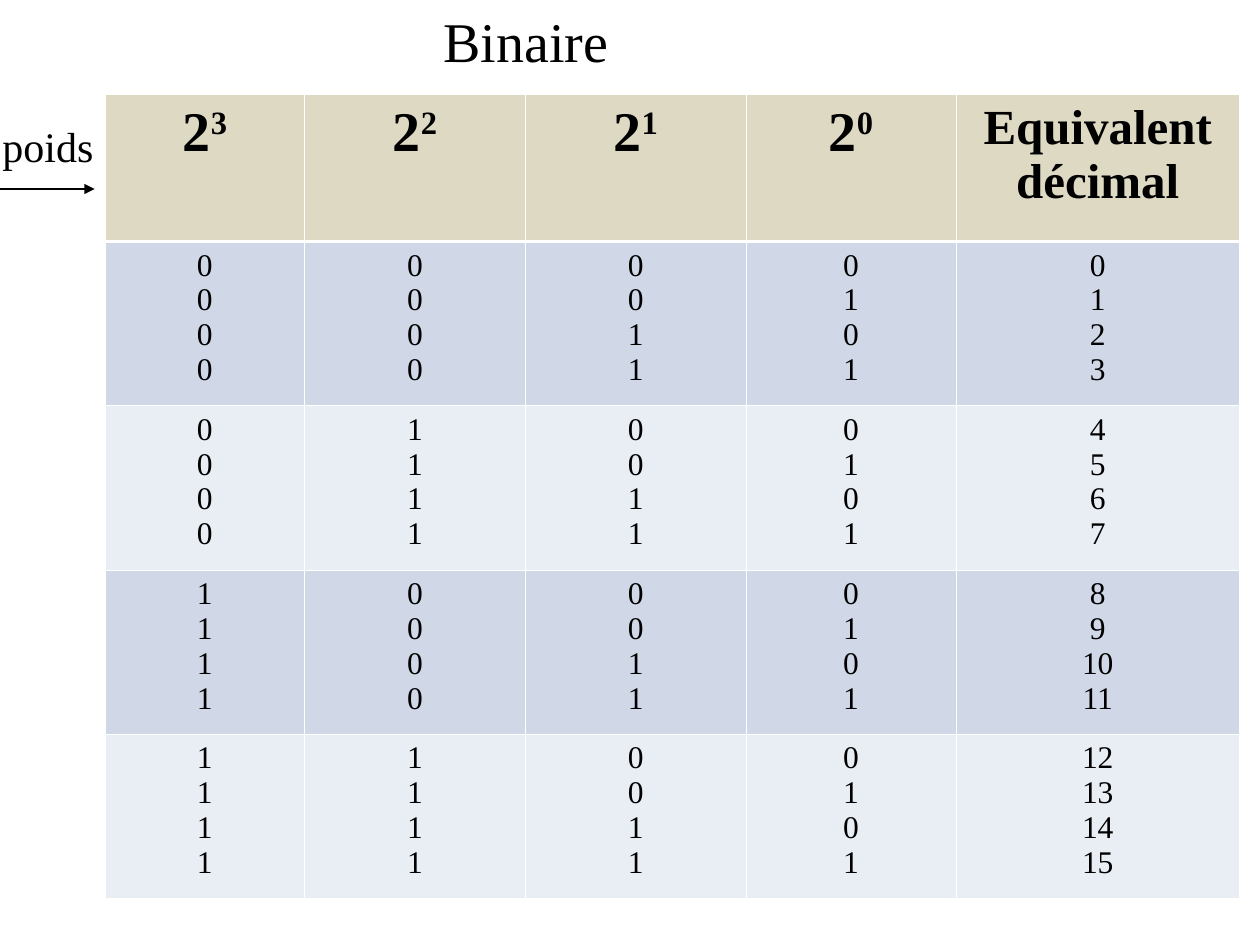
import dataclasses

import lxml.etree
import pptx
import pptx.dml.color
import pptx.enum.shapes
import pptx.enum.text
import pptx.oxml.ns
import pptx.util

Cm = pptx.util.Cm
Pt = pptx.util.Pt
qn = pptx.oxml.ns.qn

FONT = "Times New Roman"
COLORS = {
    "text": "000000",
    "border": "FFFFFF",
    "header": "DDD9C3",
    "odd": "D0D8E8",
    "even": "E9EDF4",
}
BITS = 4
GROUP = 4
COLUMN_WIDTHS = [4.02, 4.45, 4.45, 4.23, 5.72]
HEADER_HEIGHT = 2.96
ROW_HEIGHT = 3.31
THIN, THICK = 0.45, 1.47


@dataclasses.dataclass
class Line:
    text: str
    exponent: str = ""


@dataclasses.dataclass
class CellStyle:
    fill: str
    size: int
    bold: bool = False
    top: float = THIN
    bottom: float = THIN


@dataclasses.dataclass
class Label:
    text: str
    left: float
    top: float
    width: float
    height: float
    size: int


def rgb(name: str) -> pptx.dml.color.RGBColor:
    return pptx.dml.color.RGBColor.from_string(COLORS[name])


def format_paragraph(p, size: int, bold: bool, align) -> None:
    p.alignment = align
    p.font.name = FONT
    p.font.size = Pt(size)
    p.font.bold = bold
    p.font.color.rgb = rgb("text")


def set_borders(cell, style: CellStyle) -> None:
    tcPr = cell._tc.get_or_add_tcPr()
    widths = {"lnL": THIN, "lnR": THIN, "lnT": style.top, "lnB": style.bottom}
    for i, (tag, width) in enumerate(widths.items()):
        ln = lxml.etree.Element(qn(f"a:{tag}"), w=str(int(Pt(width))))
        fill = lxml.etree.SubElement(ln, qn("a:solidFill"))
        lxml.etree.SubElement(fill, qn("a:srgbClr"), val=COLORS["border"])
        tcPr.insert(i, ln)


def fill_cell(cell, lines: list[Line], style: CellStyle) -> None:
    cell.fill.solid()
    cell.fill.fore_color.rgb = rgb(style.fill)
    set_borders(cell, style)
    tf = cell.text_frame
    for i, line in enumerate(lines):
        p = tf.add_paragraph() if i else tf.paragraphs[0]
        p.add_run().text = line.text
        if line.exponent:
            r = p.add_run()
            r.text = line.exponent
            r._r.get_or_add_rPr().set("baseline", "30000")
        format_paragraph(p, style.size, style.bold, pptx.enum.text.PP_ALIGN.CENTER)


def draw_label(sp, label: Label) -> None:
    sp.left, sp.top = Cm(label.left), Cm(label.top)
    sp.width, sp.height = Cm(label.width), Cm(label.height)
    tf = sp.text_frame
    tf.text = label.text
    tf.word_wrap = False
    tf.auto_size = pptx.enum.text.MSO_AUTO_SIZE.SHAPE_TO_FIT_TEXT
    tf.vertical_anchor = pptx.enum.text.MSO_ANCHOR.TOP
    format_paragraph(tf.paragraphs[0], label.size, False, pptx.enum.text.PP_ALIGN.LEFT)


def draw_table(s) -> None:
    groups = 2**BITS // GROUP
    frame = s.shapes.add_table(
        groups + 1, BITS + 1, Cm(2.12), Cm(1.91),
        Cm(sum(COLUMN_WIDTHS)), Cm(HEADER_HEIGHT + groups * ROW_HEIGHT),
    )
    table = frame.table
    table.first_row = False
    table.horz_banding = False
    for column, width in zip(table.columns, COLUMN_WIDTHS):
        column.width = Cm(width)
    for i, row in enumerate(table.rows):
        row.height = Cm(ROW_HEIGHT if i else HEADER_HEIGHT)

    powers = list(reversed(range(BITS)))
    power_style = CellStyle("header", 32, bold=True, bottom=THICK)
    for col, power in enumerate(powers):
        fill_cell(table.cell(0, col), [Line("2", str(power))], power_style)
    decimal_style = dataclasses.replace(power_style, size=28)
    fill_cell(table.cell(0, BITS), [Line("Equivalent"), Line("décimal")], decimal_style)

    for row in range(1, groups + 1):
        numbers = range((row - 1) * GROUP, row * GROUP)
        style = CellStyle(
            "odd" if row % 2 else "even", 18, top=THICK if row == 1 else THIN
        )
        for col, power in enumerate(powers):
            bits = [Line(str(n >> power & 1)) for n in numbers]
            fill_cell(table.cell(row, col), bits, style)
        fill_cell(table.cell(row, BITS), [Line(str(n)) for n in numbers], style)


def draw_arrow(s, left: float, right: float, y: float) -> None:
    arrow = s.shapes.add_connector(
        pptx.enum.shapes.MSO_CONNECTOR.STRAIGHT, Cm(left), Cm(y), Cm(right), Cm(y)
    )
    arrow.line.color.rgb = rgb("text")
    arrow.line.width = Pt(0.75)
    lxml.etree.SubElement(arrow.line._get_or_add_ln(), qn("a:tailEnd"), type="triangle")
    lxml.etree.SubElement(arrow._element.spPr, qn("a:effectLst"))


def main() -> None:
    prs = pptx.Presentation()
    prs.slide_width, prs.slide_height = Cm(25.4), Cm(19.05)
    s = prs.slides.add_slide(prs.slide_layouts.get_by_name("Title Only"))
    draw_table(s)
    draw_label(s.shapes.title, Label("Binaire", 8.69, 0, 3.84, 1.63, 32))
    weight = Label("poids", -0.2, 2.31, 2.34, 1.27, 24)
    draw_label(s.shapes.add_textbox(0, 0, 0, 0), weight)
    draw_arrow(s, 0, 1.91, 3.81)
    prs.save("out.pptx")


if __name__ == "__main__":
    main()
